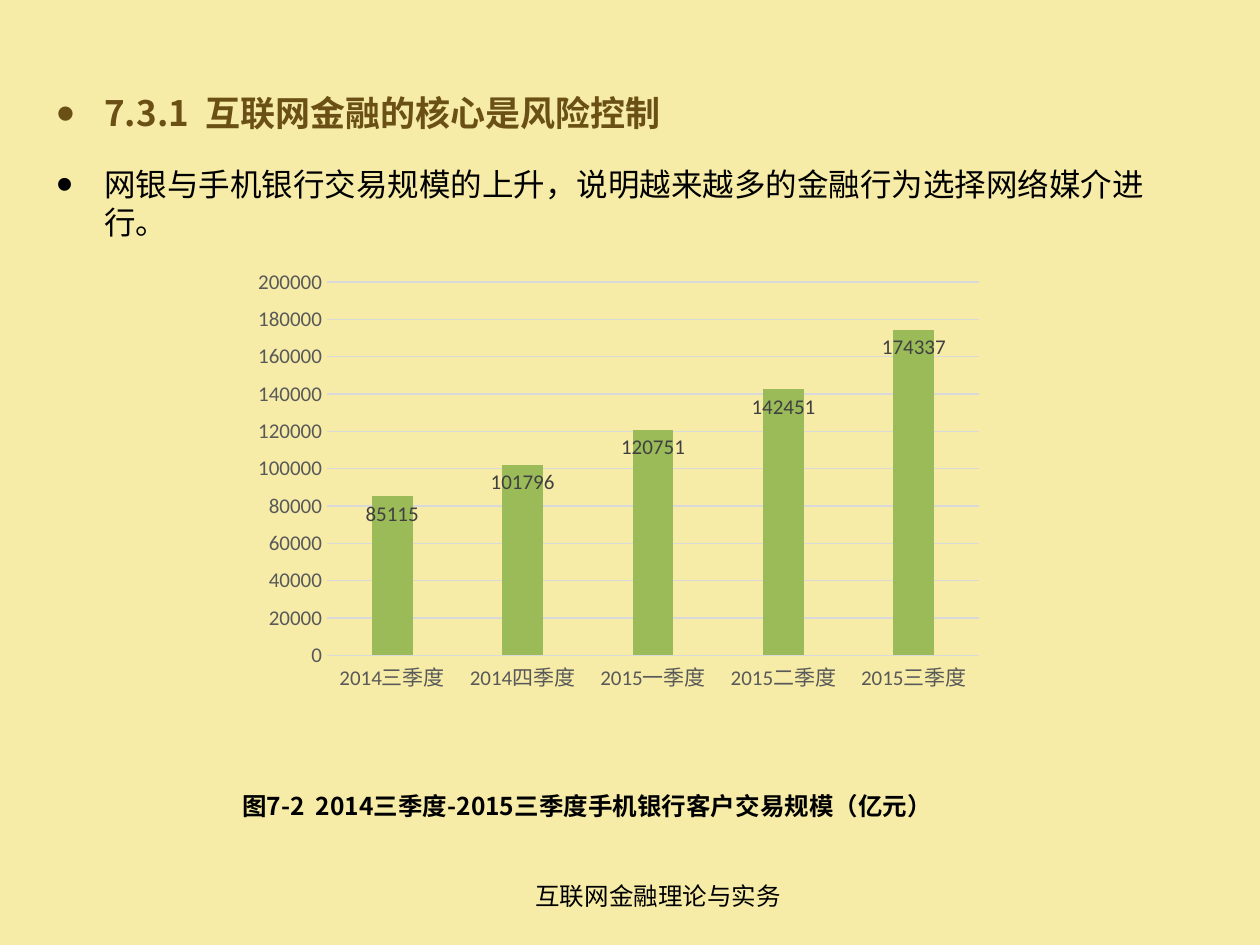
from pptx import Presentation
from pptx.chart.data import CategoryChartData
from pptx.dml.color import RGBColor
from pptx.enum.chart import XL_CHART_TYPE as Kind, XL_LABEL_POSITION as Spot, XL_TICK_MARK as Tick
from pptx.enum.text import PP_ALIGN as Align
from pptx.oxml.ns import qn
from pptx.util import Inches, Pt
from lxml.etree import SubElement

COLORS = {
    "page": "F6ECA7", "head": "6A5015", "text": "000000", "bar": "9BBB59",
    "grid": "D9D9D9", "axis": "595959", "label": "404040",
}
SANS, LATIN = "Noto Sans CJK SC", "Calibri"
SALES = {
    "2014三季度": 85115, "2014四季度": 101796, "2015一季度": 120751,
    "2015二季度": 142451, "2015三季度": 174337,
}


def color(name):
    return RGBColor.from_string(COLORS[name])


def style(font, size, tint, face=LATIN, bold=False):
    font.size, font.name, font.bold = Pt(size), face, bold
    font.color.rgb = color(tint)


def add_box(slide, box):
    frame = slide.shapes.add_textbox(*map(Inches, box)).text_frame
    frame.word_wrap = True
    return frame


def write(para, text, size=14, tint="text", bold=False, align=Align.LEFT,
          bullet=False, before=0):
    para.alignment = align
    para.space_before = Pt(before)
    if bullet:
        props = para._p.get_or_add_pPr()
        props.set("marL", str(Inches(0.38)))
        props.set("indent", str(Inches(-0.38)))
        SubElement(props, qn("a:buSzPct"), val="150000")
        SubElement(props, qn("a:buFont"), typeface="Arial")
        SubElement(props, qn("a:buChar"), char="•")
    run = para.add_run()
    run.text = text
    style(run.font, size, tint, SANS, bold)
    SubElement(run._r.get_or_add_rPr(), qn("a:ea"), typeface=SANS)


def add_body(slide, box):
    frame = add_box(slide, box)
    write(frame.paragraphs[0], "7.3.1  互联网金融的核心是风险控制",
          size=20, tint="head", bold=True, bullet=True)
    write(frame.add_paragraph(),
          "网银与手机银行交易规模的上升，说明越来越多的金融行为选择网络媒介进行。",
          size=18, bullet=True, before=18)


def add_line(slide, box, text, bold=False):
    write(add_box(slide, box).paragraphs[0], text, bold=bold, align=Align.CENTER)


def add_bars(slide, box):
    data = CategoryChartData()
    data.categories = list(SALES)
    data.add_series("Series 1", list(SALES.values()))
    chart = slide.shapes.add_chart(
        Kind.COLUMN_CLUSTERED, *map(Inches, box), data).chart
    chart.has_legend = chart.has_title = False
    style(chart.font, 10, "text")

    # Axes and grid
    cats, vals = chart.category_axis, chart.value_axis
    for axis in (cats, vals):
        axis.major_tick_mark = axis.minor_tick_mark = Tick.NONE
        style(axis.tick_labels.font, 12, "axis")
    vals.minimum_scale, vals.maximum_scale, vals.major_unit = 0, 200000, 20000
    vals.format.line.fill.background()
    for line in (cats.format.line, vals.major_gridlines.format.line):
        line.color.rgb = color("grid")
        line.width = Pt(0.75)

    # Columns and their values
    plot = chart.plots[0]
    plot.gap_width, plot.overlap, plot.vary_by_categories = 219, -27, False
    bars = plot.series[0]
    bars.format.fill.solid()
    bars.format.fill.fore_color.rgb = color("bar")
    labels = bars.data_labels
    labels.show_value = True
    labels.position = Spot.INSIDE_END
    style(labels.font, 12, "label")


def main():
    deck = Presentation()
    deck.slide_width, deck.slide_height = Inches(10), Inches(7.5)
    slide = deck.slides.add_slide(deck.slide_layouts[6])
    slide.background.fill.solid()
    slide.background.fill.fore_color.rgb = color("page")

    add_line(slide, (3.06, 6.94, 4.33, 0.34), "互联网金融理论与实务")
    add_body(slide, (0.35, 0.68, 9, 1.39))
    add_bars(slide, (1.93, 2.07, 5.96, 3.49))
    add_line(slide, (1.77, 6.23, 5.78, 0.34),
             "图7-2  2014三季度-2015三季度手机银行客户交易规模（亿元）", bold=True)
    deck.save("out.pptx")


if __name__ == "__main__":
    main()
